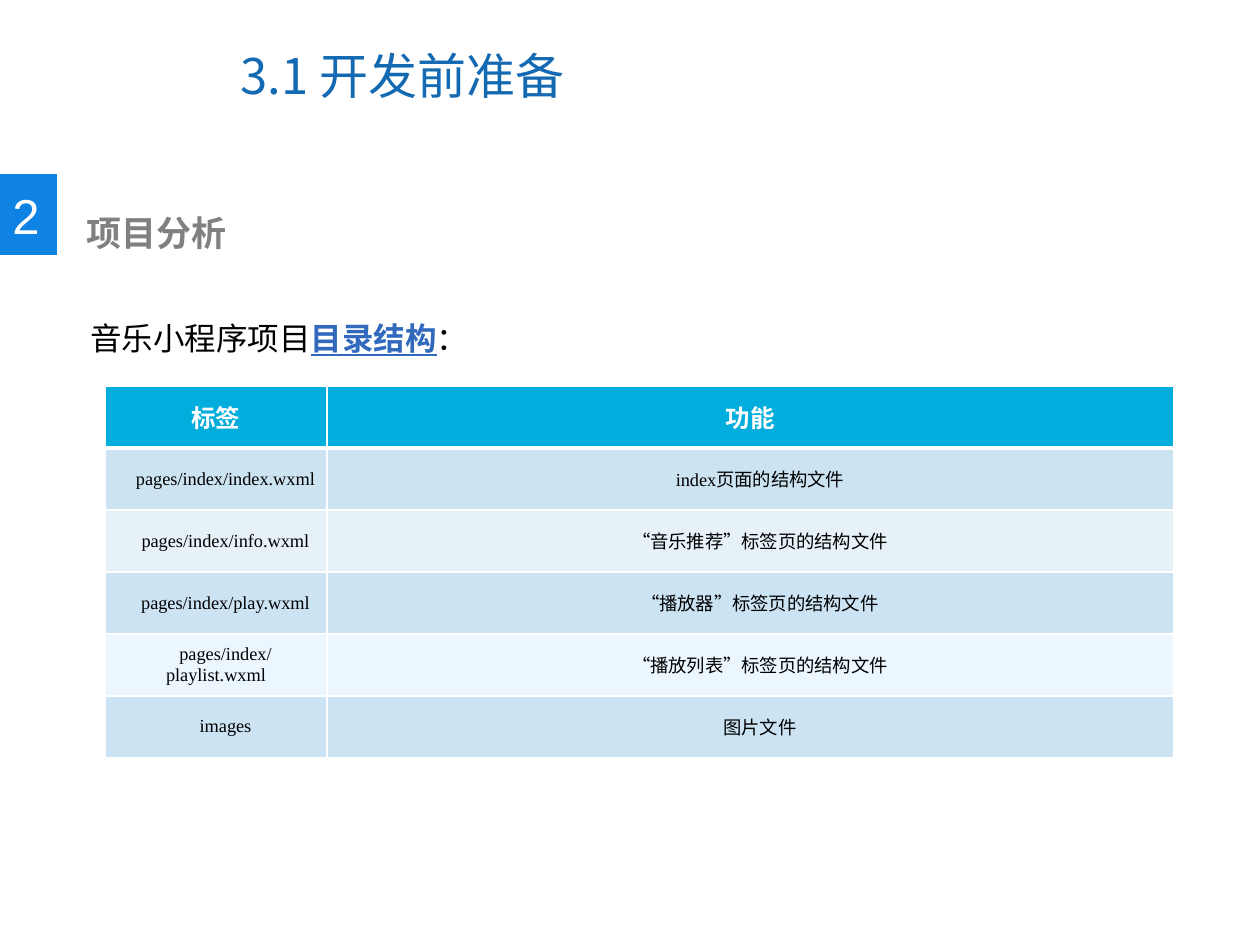
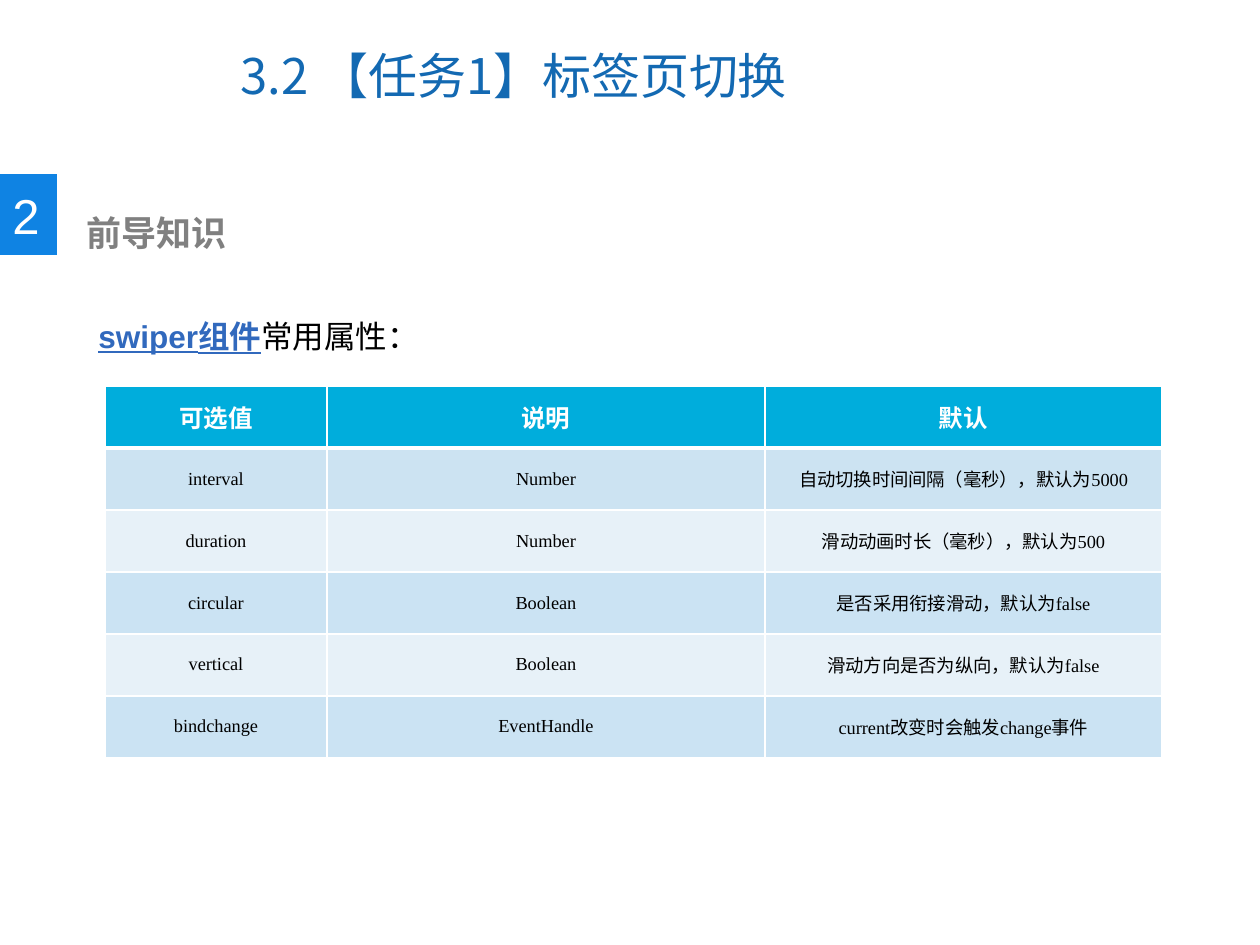
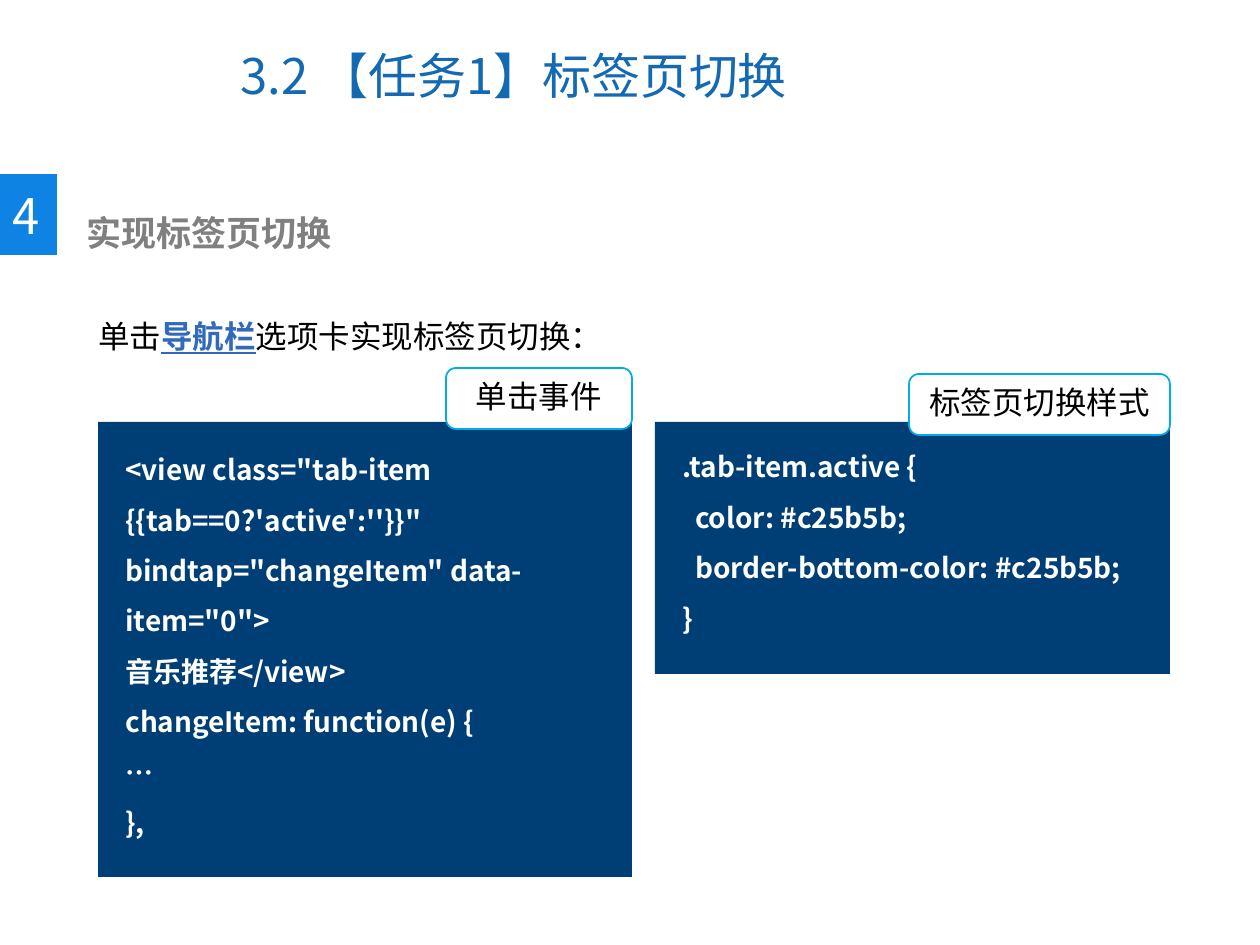
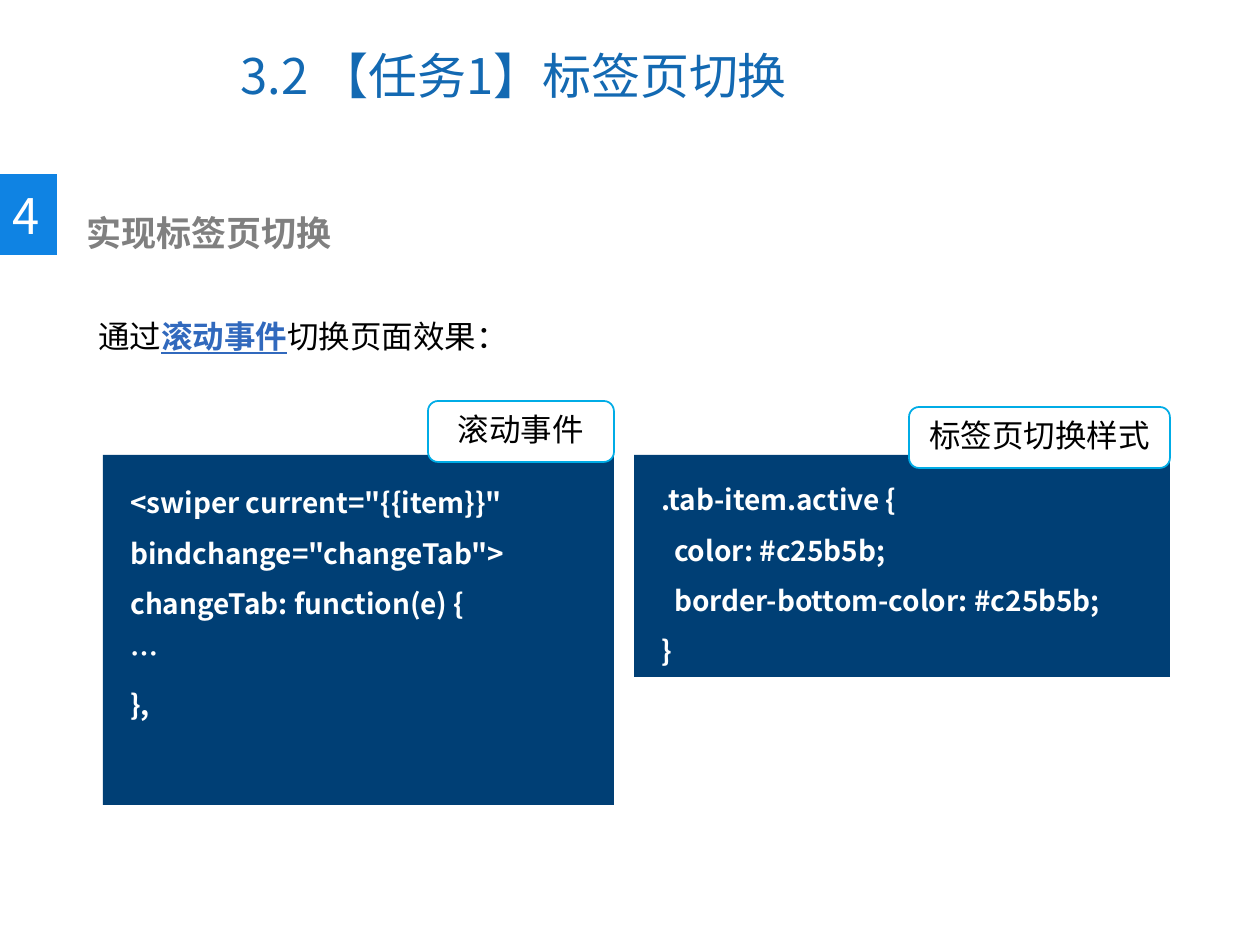
from pptx import Presentation
from pptx.dml.color import RGBColor
from pptx.enum.shapes import MSO_SHAPE
from pptx.enum.text import MSO_ANCHOR, PP_ALIGN
from pptx.oxml.ns import qn
from pptx.util import Pt
from lxml import etree

RECT, ROUND = MSO_SHAPE.RECTANGLE, MSO_SHAPE.ROUNDED_RECTANGLE
TOP, MIDDLE = MSO_ANCHOR.TOP, MSO_ANCHOR.MIDDLE
LEFT, CENTER = PP_ALIGN.LEFT, PP_ALIGN.CENTER
SCALE = 914400 / 126
WHITE, BLACK, NAVY, CYAN = "FFFFFF", "000000", "003F75", "00ACE6"
SANS, SERIF, CJK = "Arial", "Times New Roman", "Noto Sans CJK SC"

TITLE = {"name": CJK, "size": Pt(28), "color": "1369B2", "bold": False}
BADGE = {"name": SANS, "size": Pt(28), "color": WHITE}
HEAD = {"name": SERIF, "size": Pt(20), "color": "808080", "bold": True}
BODY = {"name": SANS, "size": Pt(18), "color": BLACK}
KEY = {**BODY, "color": "3169BD", "bold": True, "underline": True}
CODE = {"name": CJK, "size": Pt(16), "color": WHITE, "bold": True}
TOPROW = {"name": SERIF, "size": Pt(14), "color": WHITE, "bold": True}
CELL = {"name": SERIF, "size": Pt(10.5), "color": BLACK, "bold": False}

FILES = [
    ("标签", "功能"),
    ("pages/index/index.wxml", "index页面的结构文件"),
    ("pages/index/info.wxml", "“音乐推荐”标签页的结构文件"),
    ("pages/index/play.wxml", "“播放器”标签页的结构文件"),
    ("pages/index/playlist.wxml", "“播放列表”标签页的结构文件"),
    ("images", "图片文件"),
]
PROPS = [
    ("可选值", "说明", "默认"),
    ("interval", "Number", "自动切换时间间隔（毫秒），默认为5000"),
    ("duration", "Number", "滑动动画时长（毫秒），默认为500"),
    ("circular", "Boolean", "是否采用衔接滑动，默认为false"),
    ("vertical", "Boolean", "滑动方向是否为纵向，默认为false"),
    ("bindchange", "EventHandle", "current改变时会触发change事件"),
]
CLICK = [
    "<view class=\"tab-item {{tab==0?'active':''}}\"",
    'bindtap="changeItem" data-item="0">',
    "音乐推荐</view>",
    "changeItem: function(e) {",
    "…",
    "},",
]
SWIPE = [
    '<swiper current="{{item}}" bindchange="changeTab">',
    "changeTab: function(e) {",
    "…",
    "},",
]
STYLE = [
    ".tab-item.active {",
    "  color: #c25b5b;",
    "  border-bottom-color: #c25b5b;",
    "}",
]
FILLS = ["00ADDC", "CCE3F2", "E7F1F8", "CBE3F3", "E7F1F8", "CBE3F3"]
TASK = "3.2 【任务1】标签页切换"


def px(num):
    """Turn pixels into EMU."""
    return round(num * SCALE)


def rgb(code):
    """Turn a hex string into a colour."""
    return RGBColor.from_string(code)


def style(run, form):
    """Set the font of a run from a dict of format values."""
    for key, val in form.items():
        if key == "color":
            run.font.color.rgb = rgb(val)
        else:
            setattr(run.font, key, val)
    east = etree.SubElement(run.font._element, qn("a:ea"))
    east.set("typeface", CJK)


def write(frame, lines, align=LEFT, space=None, anchor=TOP):
    """Fill a text frame with lines, each a list of (text, format)."""
    frame.word_wrap = True
    frame.vertical_anchor = anchor
    for num, line in enumerate(lines):
        para = frame.add_paragraph() if num else frame.paragraphs[0]
        para.alignment = align
        if space:
            para.line_spacing = space
        for text, form in line:
            run = para.add_run()
            run.text = text
            style(run, form)


def label(shapes, box, lines, **opts):
    """Add a text box and return its frame."""
    frame = shapes.add_textbox(*map(px, box)).text_frame
    write(frame, lines, **opts)
    return frame


def block(shapes, kind, box, fill, line=None):
    """Add a filled shape, with an outline if a colour is given."""
    shape = shapes.add_shape(kind, *map(px, box))
    shape.shadow.inherit = False
    shape.fill.solid()
    shape.fill.fore_color.rgb = rgb(fill)
    if line:
        shape.line.color.rgb = rgb(line)
        shape.line.width = Pt(1)
    else:
        shape.line.fill.background()
    return shape


def badge(shapes, box, num, font):
    """Draw the numbered square at the left edge."""
    left, top, wide, high = box
    parts = shapes.add_group_shape().shapes
    block(parts, RECT, box, "0F83E3")
    label(parts, (left, top + 5, wide - 4, high - 9),
          [[(num, {**BADGE, "name": font})]])


def start(deck, title, num, head, lead, spot=(86, 273), font=SANS):
    """Add a slide with title, badge, heading and lead line."""
    slide = deck.slides.add_slide(deck.slide_layouts[5])
    name = slide.shapes.title
    name.left, name.top, name.width, name.height = map(px, (228, 21, 650, 107))
    write(name.text_frame, [[(title, TITLE)]], anchor=MIDDLE)
    badge(slide.shapes, (0, 174, 57, 81), num, font)
    frame = label(slide.shapes, (60, 205, 648, 55), [[(head, HEAD)]])
    frame.margin_left = px(26)
    label(slide.shapes, (*spot, 1090, 89), [lead], space=2.0)
    return slide


def edge(cell, sizes):
    """Draw white cell borders; sizes are points by side."""
    props = cell._tc.get_or_add_tcPr()
    for num, (side, size) in enumerate(sizes.items()):
        line = etree.Element(qn("a:ln" + side), w=str(Pt(size)))
        fill = etree.SubElement(line, qn("a:solidFill"))
        etree.SubElement(fill, qn("a:srgbClr"), val=WHITE)
        props.insert(num, line)


def grid(slide, spot, cols, rows, fills, indent=0):
    """Draw a table with a cyan top row and tinted body rows."""
    high = 62
    box = (*spot, sum(cols), high * len(rows))
    table = slide.shapes.add_table(len(rows), len(cols), *map(px, box)).table
    for col, wide in zip(table.columns, cols):
        col.width = px(wide)
    for y, row in enumerate(rows):
        table.rows[y].height = px(high)
        for x, text in enumerate(row):
            cell = table.cell(y, x)
            cell.fill.solid()
            cell.fill.fore_color.rgb = rgb(fills[y])
            cell.margin_left = cell.margin_right = px(9 if y else 10)
            cell.margin_top = cell.margin_bottom = 0
            cell.vertical_anchor = MIDDLE
            write(cell.text_frame, [[(text, CELL if y else TOPROW)]],
                  align=CENTER, anchor=None)
            if y and indent:
                para = cell.text_frame.paragraphs[0]
                para._p.get_or_add_pPr().set("indent", str(px(indent)))
            edge(cell, {"L": 1, "R": 1, "T": 3 if y == 1 else 1,
                        "B": 1 if y else 3})


def panel(slide, box, lines, name, wide, rise, pad):
    """Draw a code panel with a name tag on its top right corner."""
    left, top, width, high = box
    parts = slide.shapes.add_group_shape().shapes
    block(parts, RECT, box, NAVY)
    label(parts, (left + 15, top + pad, width - 15, high - pad),
          [[(line, CODE)] for line in lines], space=1.5)
    spot = (left + width - wide, top - rise, wide, 61)
    tag = block(slide.shapes, ROUND, spot, WHITE, CYAN)
    write(tag.text_frame, [[(name, BODY)]], align=CENTER)


def pair(slide, boxes, lines, name):
    """Draw an event panel and the style panel beside it."""
    panel(slide, boxes[0], lines, name, 186, 54, 8)
    panel(slide, boxes[1], STYLE, "标签页切换样式", 261, 48, 5)


def main():
    """Build the four slides."""
    deck = Presentation()
    deck.slide_width, deck.slide_height = px(1260), px(945)

    lead = [("音乐小程序项目", BODY), ("目录结构", KEY), ("：", BODY)]
    slide = start(deck, "3.1 开发前准备", "2", "项目分析", lead, (78, 275))
    tints = [*FILLS[:4], "ECF6FE", FILLS[5]]
    grid(slide, (105, 386), (222, 847), FILES, tints, 19)

    lead = [("swiper组件", KEY), ("常用属性：", BODY)]
    slide = start(deck, TASK, "2", "前导知识", lead)
    grid(slide, (105, 386), (222, 438, 397), PROPS, FILLS)

    lead = [("单击", BODY), ("导航栏", KEY), ("选项卡实现标签页切换：", BODY)]
    slide = start(deck, TASK, "4", "实现标签页切换", lead, font=CJK)
    pair(slide, [(98, 422, 534, 455), (655, 422, 515, 252)], CLICK, "单击事件")

    lead = [("通过", BODY), ("滚动事件", KEY), ("切换页面效果：", BODY)]
    slide = start(deck, TASK, "4", "实现标签页切换", lead, font=CJK)
    pair(slide, [(103, 455, 511, 350), (634, 455, 536, 222)], SWIPE, "滚动事件")

    deck.save("out.pptx")


if __name__ == "__main__":
    main()
